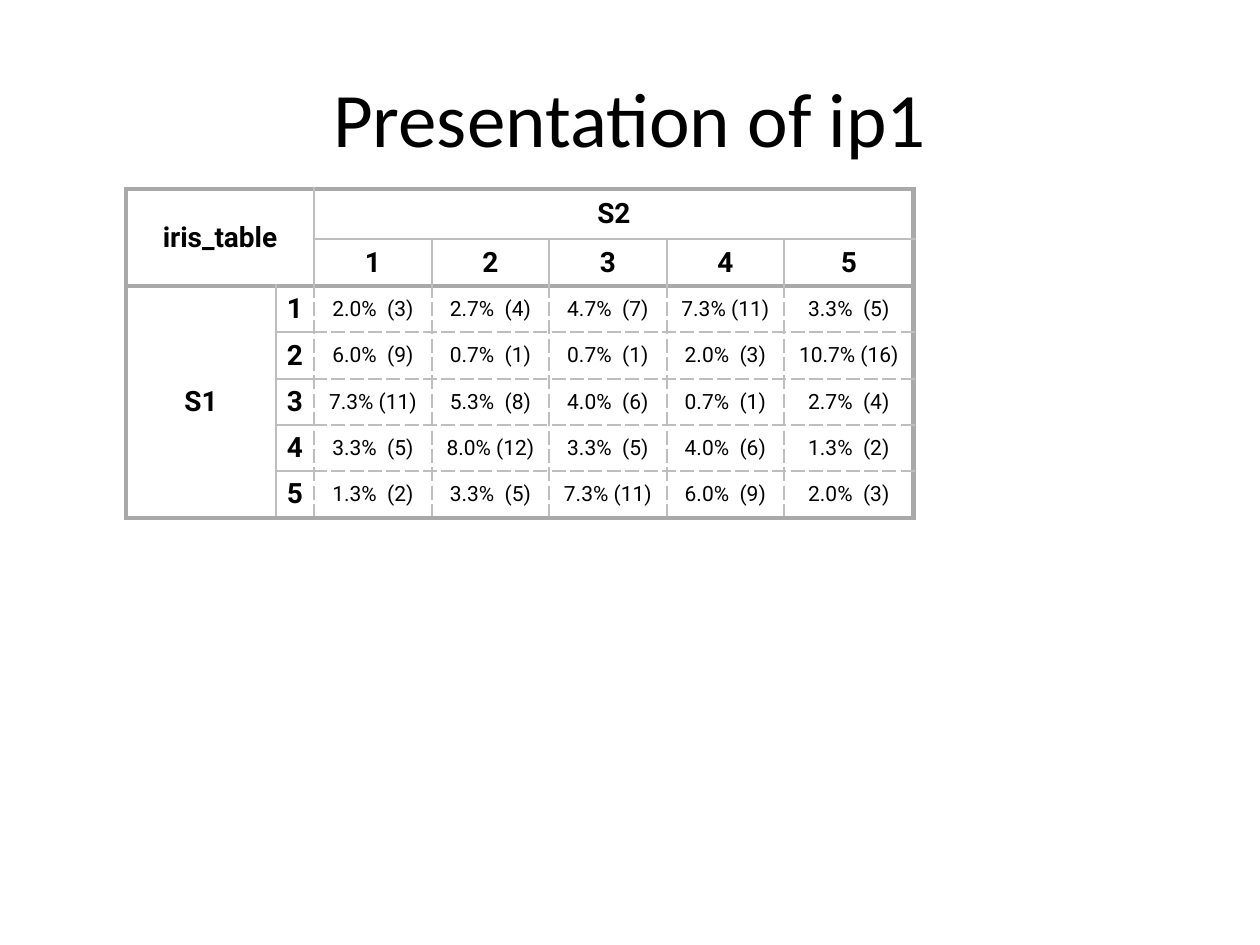
from lxml import etree
from pptx import Presentation, util as u
from pptx.dml import color
from pptx.enum import text as t
from pptx.oxml import ns

PX = 914400 / 126
FRAME, GRID, INK = "A9A9A9", "BEBEBE", "000000"
COLUMNS = [150, 38, 118, 117, 118, 117, 130]
ROWS = [50, 47, 46, 47, 46, 46, 47]
FIRST = 2
COUNTS = [
    [3, 4, 7, 11, 5],
    [9, 1, 1, 3, 16],
    [11, 8, 6, 1, 4],
    [5, 12, 5, 6, 2],
    [2, 5, 11, 9, 3],
]


def px(length):
    """Turn whole pixels into EMU."""
    return u.Emu(round(length * PX))


def rgb(value):
    """Turn a hex string into a colour."""
    return color.RGBColor.from_string(value)


def write(frame, content, size, font, bold=False, spacing=0, indent=0):
    """Write one centred paragraph into a text frame."""
    para = frame.paragraphs[0]
    para.alignment = t.PP_ALIGN.CENTER
    para.space_before = para.space_after = u.Pt(spacing)
    properties = para._p.get_or_add_pPr()
    for side in ("marL", "marR"):
        properties.set(side, str(px(indent)))
    span = para.add_run()
    span.text = content
    span.font.size, span.font.name, span.font.bold = u.Pt(size), font, bold
    span.font.color.rgb = rgb(INK)


def set_border(cell, side, thick, dashed):
    """Draw one side of a table cell."""
    width = u.Pt(3 if thick else 1.5)
    line = etree.SubElement(cell._tc.get_or_add_tcPr(), ns.qn(f"a:ln{side}"), w=str(width))
    fill = etree.SubElement(line, ns.qn("a:solidFill"))
    etree.SubElement(fill, ns.qn("a:srgbClr"), val=FRAME if thick else GRID)
    dash = "sysDash" if dashed and not thick else "solid"
    etree.SubElement(line, ns.qn("a:prstDash"), val=dash)


def add_region(table, row, column, content, height=1, width=1, size=16, bold=True):
    """Fill a block of cells, merged when larger than one, and frame it."""
    bottom, right = row + height, column + width
    dashed = row >= FIRST and column >= FIRST
    thick = {
        "L": column == 0,
        "R": right == len(COLUMNS),
        "T": row in (0, FIRST),
        "B": bottom in (FIRST, len(ROWS)),
    }
    for y in range(row, bottom):
        for x in range(column, right):
            cell = table.cell(y, x)
            for side, heavy in thick.items():
                set_border(cell, side, heavy, dashed)
            cell.fill.background()
    origin = table.cell(row, column)
    if height * width > 1:
        origin.merge(table.cell(bottom - 1, right - 1))
    origin.vertical_anchor = t.MSO_ANCHOR.MIDDLE
    origin.margin_left = origin.margin_right = origin.margin_top = origin.margin_bottom = 0
    write(origin.text_frame, content, size, "Roboto", bold, spacing=3, indent=5)


def add_title(page, left, top, width, height):
    """Place the slide title."""
    box = page.shapes.add_textbox(px(left), px(top), px(width), px(height))
    box.text_frame.word_wrap = True
    box.text_frame.vertical_anchor = t.MSO_ANCHOR.MIDDLE
    write(box.text_frame, "Presentation of ip1", 44, "Calibri")


def add_cross_table(page, left, top):
    """Place the cross table of shares and counts."""
    table = page.shapes.add_table(
        len(ROWS), len(COLUMNS), px(left), px(top), px(sum(COLUMNS)), px(sum(ROWS))
    ).table
    table.first_row = table.horz_banding = False
    for column, width in zip(table.columns, COLUMNS):
        column.width = px(width)
    for row, height in zip(table.rows, ROWS):
        row.height = px(height)
    groups = len(COUNTS)
    total = sum(map(sum, COUNTS))
    add_region(table, 0, 0, "iris_table", height=FIRST, width=FIRST)
    add_region(table, 0, FIRST, "S2", width=groups)
    add_region(table, FIRST, 0, "S1", height=groups)
    for i, counts in enumerate(COUNTS):
        add_region(table, 1, FIRST + i, str(i + 1))
        add_region(table, FIRST + i, 1, str(i + 1))
        for j, count in enumerate(counts):
            label = f"{count / total:.1%}{f'({count})':>5}"
            add_region(table, FIRST + i, FIRST + j, label, size=12, bold=False)


def main():
    """Build the deck and save it."""
    deck = Presentation()
    deck.slide_width, deck.slide_height = px(1260), px(945)
    page = deck.slides.add_slide(deck.slide_layouts[6])
    add_title(page, 63, 38, 1134, 158)
    add_cross_table(page, 126, 189)
    deck.save("out.pptx")


if __name__ == "__main__":
    main()
